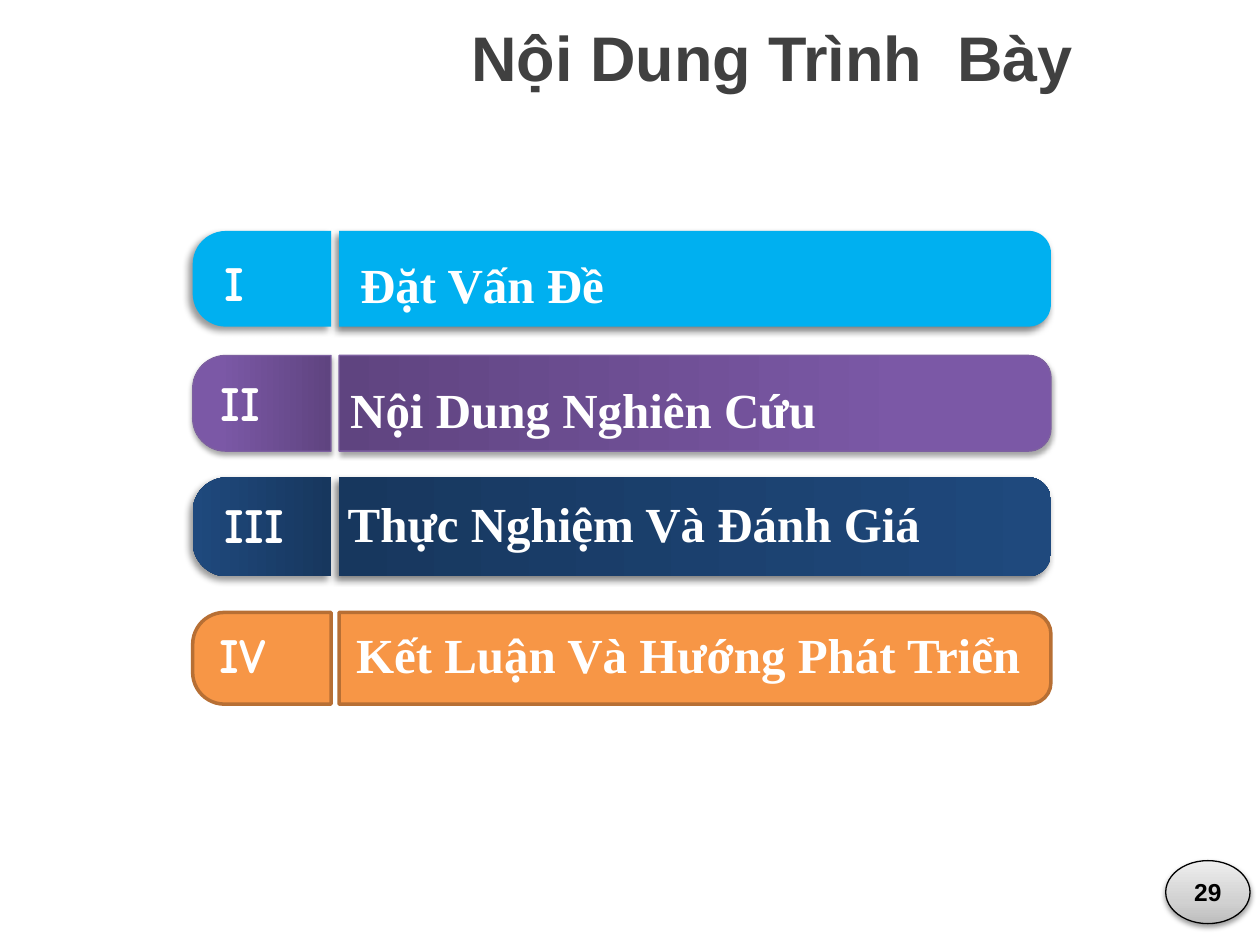
from copy import deepcopy

from lxml import etree
from pptx import Presentation
from pptx.dml.color import RGBColor
from pptx.enum.shapes import MSO_SHAPE as Shape
from pptx.enum.text import MSO_ANCHOR as Anchor, PP_ALIGN as Align
from pptx.oxml.ns import qn
from pptx.util import Cm, Pt


def write(frame, text, size=28, font="Times New Roman", color="FFFFFF",
          align=Align.LEFT, anchor=Anchor.TOP, wrap=True):
    frame.word_wrap = wrap
    frame.vertical_anchor = anchor
    paragraph = frame.paragraphs[0]
    paragraph.alignment = align
    run = paragraph.add_run()
    run.text = text
    run.font.size = Pt(size)
    run.font.name = font
    run.font.bold = True
    run.font.color.rgb = RGBColor.from_string(color)


def paint(shape, stops, line=None, shadow=None):
    """Stops are (percent, colour) from bottom to top; one stop is a solid fill.

    Line is (colour, points); shadow is (alpha %, blur pt, distance pt, degrees).
    """
    fill = shape.fill
    if len(stops) == 1:
        fill.solid()
        fill.fore_color.rgb = RGBColor.from_string(stops[0][1])
    else:
        fill.gradient()
        fill.gradient_angle = 90
        stop_list = shape._element.spPr.find(qn("a:gradFill")).find(qn("a:gsLst"))
        for _ in stops[2:]:
            stop_list.append(deepcopy(stop_list[-1]))
        for stop, (percent, color) in zip(fill.gradient_stops, stops):
            stop.position = percent / 100
            stop.color.rgb = RGBColor.from_string(color)
    if line:
        shape.line.color.rgb = RGBColor.from_string(line[0])
        shape.line.width = Pt(line[1])
    else:
        shape.line.fill.background()
    shape.shadow.inherit = False
    if shadow:
        alpha, blur, distance, degrees = shadow
        effects = shape._element.spPr.find(qn("a:effectLst"))
        outer = etree.SubElement(
            effects, qn("a:outerShdw"), blurRad=str(Pt(blur)), dist=str(Pt(distance)),
            dir=str(degrees * 60000), algn="ctr", rotWithShape="0")
        black = etree.SubElement(outer, qn("a:srgbClr"), val="000000")
        etree.SubElement(black, qn("a:alpha"), val=str(alpha * 1000))


prs = Presentation()
prs.slide_width, prs.slide_height = Cm(25.4), Cm(19.05)
slide = prs.slides.add_slide(prs.slide_layouts[6])
shapes = slide.shapes

heading = shapes.add_textbox(Cm(7.44), Cm(0.25), Cm(16.26), Cm(1.8))
write(heading.text_frame, "Nội Dung Trình  Bày", size=36, font="Arial",
      color="404040", align=Align.CENTER)

blue = [(0, "00B0F0")]
purple = [(0, "5F4480"), (80, "7B58A6"), (100, "7C57A8")]
navy = [(0, "17375E"), (100, "1F497D")]
orange = [(0, "F79646")]
bar_cast, tab_cast, soft_cast = (50, 4, 3, 135), (40, 4, 3, 135), (35, 3.1, 1.8, 90)

# numeral, its centre x and y, topic, its left and top,
# bar centre y, bar and tab height, stops, line, bar and tab shadow
sections = [
    ("I", 4.72, 5.68, "Đặt Vấn Đề", 7.01, 5.0,
     5.62, 1.93, blue, None, bar_cast, tab_cast),
    ("II", 4.84, 8.09, "Nội Dung Nghiên Cứu", 6.81, 7.52,
     8.13, 1.93, purple, ("7D60A0", 0.75), soft_cast, soft_cast),
    ("III", 5.13, 10.55, "Thực Nghiệm Và Đánh Giá", 6.76, 9.83,
     10.62, 2.0, navy, None, bar_cast, tab_cast),
    ("IV", 4.9, 13.17, "Kết Luận Và Hướng Phát Triển", 6.93, 12.47,
     13.27, 1.85, orange, ("B76F34", 2), None, None),
]
for (numeral, numeral_x, numeral_y, topic, topic_left, topic_top,
     middle, height, stops, line, bar_shadow, tab_shadow) in sections:
    # Both parts are upright shapes turned so that the round end faces outwards
    for center, length, turn, corner, shadow in (
            (14.01, 14.35, 90, 0.233, bar_shadow),
            (5.28, 2.79, 270, 0.347, tab_shadow)):
        part = shapes.add_shape(
            Shape.ROUND_2_SAME_RECTANGLE, Cm(center - height / 2),
            Cm(middle - length / 2), Cm(height), Cm(length))
        part.rotation = turn
        part.adjustments[0] = corner
        part.adjustments[1] = 0
        paint(part, stops, line, shadow)

    label = shapes.add_textbox(Cm(numeral_x - 1), Cm(numeral_y - 0.72), Cm(2), Cm(1.45))
    write(label.text_frame, numeral, font="Comic Neue", align=Align.CENTER,
          anchor=Anchor.MIDDLE, wrap=False)
    caption = shapes.add_textbox(Cm(topic_left), Cm(topic_top), Cm(15.29), Cm(1.45))
    write(caption.text_frame, topic)

page_badge = shapes.add_shape(Shape.OVAL, Cm(23.5), Cm(17.35), Cm(1.7), Cm(1.27))
paint(page_badge, [(0, "BDBDBD"), (35, "D1D1D1"), (100, "EEEEEE")],
      ("000000", 0.75), (38, 3.1, 1.6, 90))
write(page_badge.text_frame, "29", size=14, font="Arial", color="000000",
      align=Align.CENTER, anchor=Anchor.MIDDLE, wrap=False)

prs.save("out.pptx")
